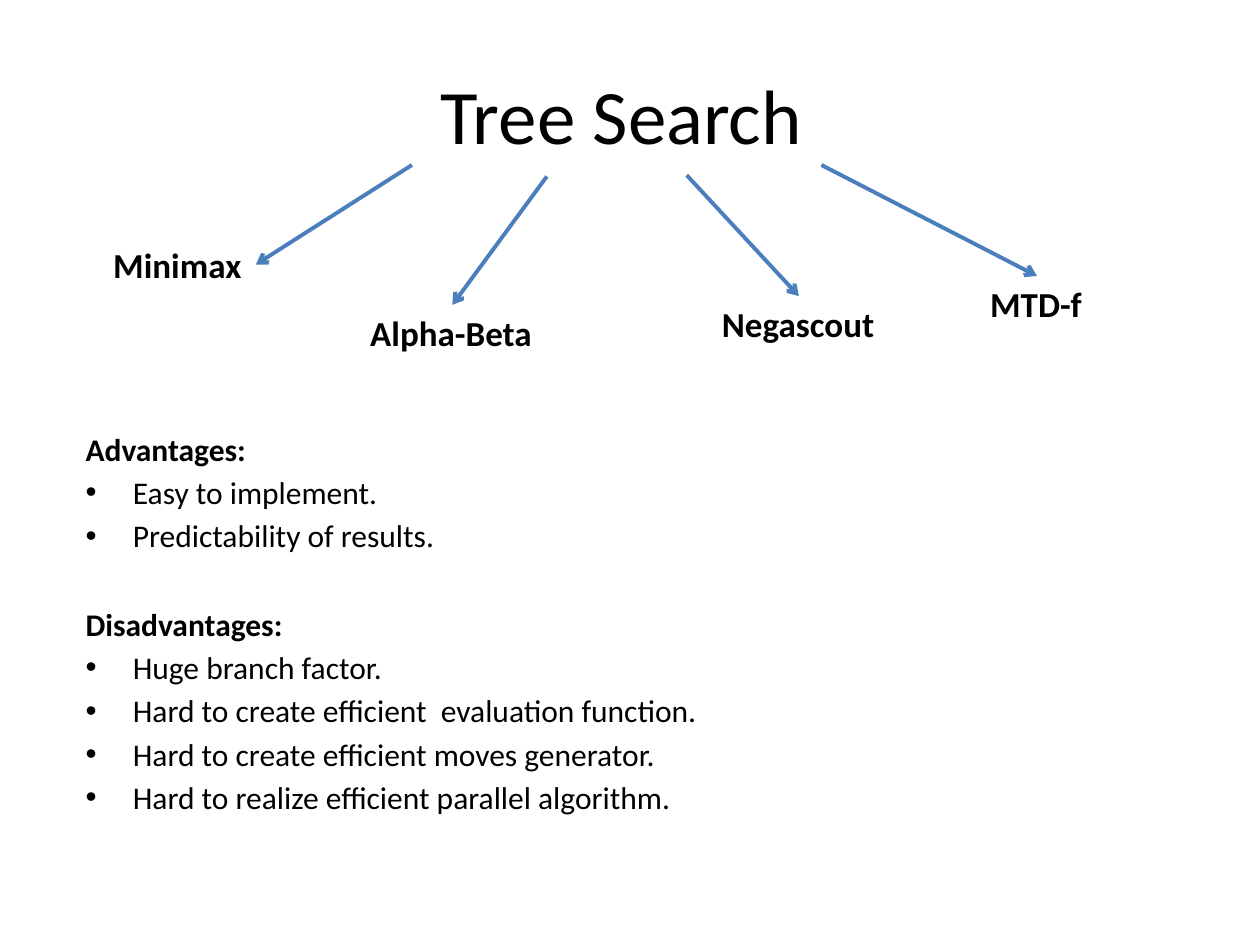
"""Build a slide on tree search algorithms with their advantages and disadvantages."""
from dataclasses import dataclass

from lxml.etree import SubElement
from pptx import Presentation
from pptx.dml.color import RGBColor
from pptx.enum.shapes import MSO_CONNECTOR
from pptx.enum.text import MSO_ANCHOR, MSO_AUTO_SIZE, PP_ALIGN
from pptx.oxml.ns import qn
from pptx.util import Pt


@dataclass(frozen=True)
class Theme:
    font: str = "Calibri"
    text: RGBColor = RGBColor(0x00, 0x00, 0x00)
    arrow: RGBColor = RGBColor(0x4B, 0x7E, 0xBC)
    title_size: float = 44
    algorithm_size: float = 20
    body_size: float = 18
    arrow_width: float = 2.25


theme = Theme()
TOP, LEFT = 0, 1


def add_text_box(left, top, width, height, wrap=True):
    box = slide.shapes.add_textbox(Pt(left), Pt(top), Pt(width), Pt(height))
    box.text_frame.word_wrap = wrap
    return box


def write(paragraph, text, size, bold=False):
    paragraph.text = text
    font = paragraph.runs[0].font
    font.name = theme.font
    font.size = Pt(size)
    font.bold = bold
    font.color.rgb = theme.text


presentation = Presentation()
presentation.slide_width, presentation.slide_height = Pt(720), Pt(540)
slide = presentation.slides.add_slide(presentation.slide_layouts[6])

title = add_text_box(229.7, 31.7, 250.6, 67).text_frame
title.vertical_anchor = MSO_ANCHOR.MIDDLE
write(title.paragraphs[0], "Tree Search", theme.title_size)
title.paragraphs[0].alignment = PP_ALIGN.CENTER

RIGHT = 3
algorithms = [
    ("Minimax", 57.6, 135.4, 88.6, (235.4, 94.3), RIGHT),
    ("Alpha-Beta", 204.5, 174.2, 108, (312.5, 100.8), TOP),
    ("Negascout", 405.4, 169.2, 102.2, (392.4, 100.1), TOP),
    ("MTD-f", 558.7, 157.7, 67.7, (469.4, 94.3), TOP),
]
for name, left, top, width, (start_x, start_y), side in algorithms:
    algorithm = add_text_box(left, top, width, 31.5, wrap=False)
    algorithm.text_frame.auto_size = MSO_AUTO_SIZE.SHAPE_TO_FIT_TEXT
    write(algorithm.text_frame.paragraphs[0], name, theme.algorithm_size, bold=True)

    branch = slide.shapes.add_connector(
        MSO_CONNECTOR.STRAIGHT, Pt(start_x), Pt(start_y), Pt(left), Pt(top))
    branch.end_connect(algorithm, side)
    branch.line.color.rgb = theme.arrow
    branch.line.width = Pt(theme.arrow_width)
    SubElement(branch.line._get_or_add_ln(), qn("a:tailEnd"), type="arrow")
    SubElement(branch._element.spPr, qn("a:effectLst"))

sections = [
    ("Advantages:", 3.2, ["Easy to implement.", "Predictability of results."]),
    ("Disadvantages:", 28.8, [
        "Huge branch factor.",
        "Hard to create efficient  evaluation function.",
        "Hard to create efficient moves generator.",
        "Hard to realize efficient parallel algorithm.",
    ]),
]
assessment = add_text_box(41.8, 241.9, 635, 245.5).text_frame
for index, (heading, gap, points) in enumerate(sections):
    heading_line = assessment.add_paragraph() if index else assessment.paragraphs[0]
    write(heading_line, heading, theme.body_size, bold=True)
    heading_line.space_before = Pt(gap)
    for point in points:
        point_line = assessment.add_paragraph()
        write(point_line, point, theme.body_size)
        point_line.space_before = Pt(3.2)
        properties = point_line._p.get_or_add_pPr()
        properties.set("marL", str(Pt(27)))
        properties.set("indent", str(-Pt(27)))
        SubElement(properties, qn("a:buFont"), typeface="Arial")
        SubElement(properties, qn("a:buChar"), char="•")

presentation.save("out.pptx")
